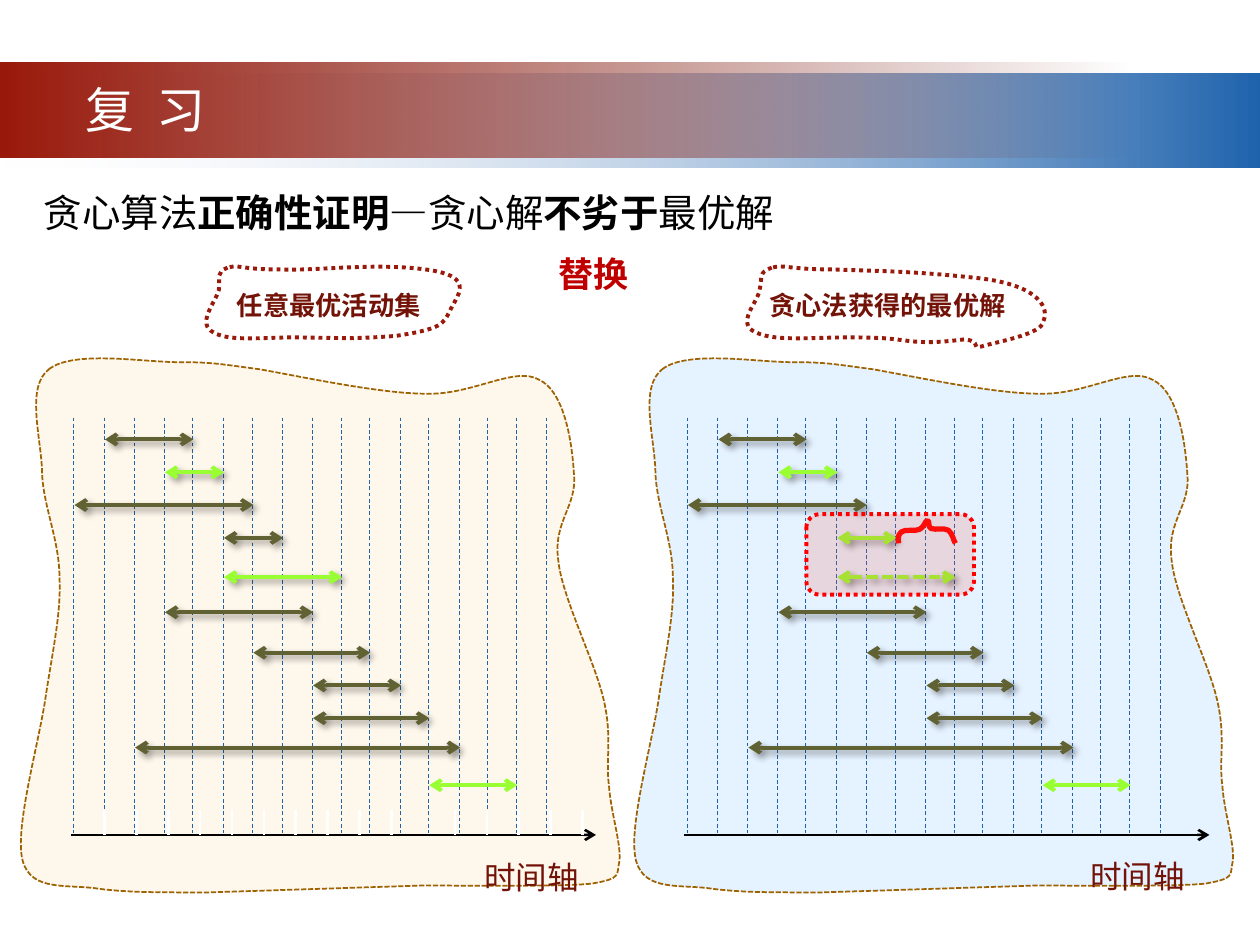
import pptx
import pptx.util
import pptx.dml.color
import pptx.enum.dml
import pptx.enum.shapes
import pptx.enum.text
import pptx.oxml
import pptx.oxml.ns
import lxml.etree

Pt = pptx.util.Pt
RGBColor = pptx.dml.color.RGBColor
Dash = pptx.enum.dml.MSO_LINE
Shape = pptx.enum.shapes.MSO_SHAPE
Anchor = pptx.enum.text.MSO_ANCHOR
Align = pptx.enum.text.PP_ALIGN
qn = pptx.oxml.ns.qn
NAMESPACE = pptx.oxml.ns.nsdecls("a")

WHITE = RGBColor(0xFF, 0xFF, 0xFF)
BLACK = RGBColor(0, 0, 0)
PALE = RGBColor(0xF1, 0xF2, 0xF7)
BLUE = RGBColor(0x1F, 0x63, 0xAD)
BRICK = RGBColor(0x99, 0x19, 0x0B)
MAROON = RGBColor(0x73, 0x13, 0x08)
DARK_RED = RGBColor(0x6D, 0x12, 0x08)
CRIMSON = RGBColor(0xC0, 0, 0)
RED = RGBColor(0xFF, 0, 0)
CORAL = RGBColor(0xF1, 0x4F, 0x3D)
CREAM = RGBColor(0xFE, 0xE8, 0xC4)
SKY = RGBColor(0xAD, 0xD6, 0xFF)
OCHRE = RGBColor(0x9E, 0x62, 0x01)
OLIVE = RGBColor(0x61, 0x62, 0x34)
GREEN = RGBColor(0x99, 0xFF, 0x33)

SHADOW = (
    f'<a:outerShdw {NAMESPACE} blurRad="50800" dist="38100" dir="2700000" algn="tl" rotWithShape="0">'
    '<a:srgbClr val="000000"><a:alpha val="40000"/></a:srgbClr></a:outerShdw>')

presentation = pptx.Presentation()
presentation.slide_width = Pt(720)
presentation.slide_height = Pt(540)
slide = presentation.slides.add_slide(presentation.slide_layouts[5])


def add_curve(box, points, color, width, dash=None, closed=True, shift=0):
    left, top, right, bottom = box
    builder = slide.shapes.build_freeform(Pt(left + shift), Pt(top))
    builder.add_line_segments([(Pt(right + shift), Pt(top)), (Pt(right + shift), Pt(bottom))], close=closed)
    curve = builder.convert_to_shape()
    outline = next(curve._element.iter(qn("a:path")))
    for segment in list(outline):
        outline.remove(segment)
    for index, (x, y) in enumerate(points):
        if index == 0:
            segment = lxml.etree.SubElement(outline, qn("a:moveTo"))
        elif index % 3 == 1:
            segment = lxml.etree.SubElement(outline, qn("a:cubicBezTo"))
        lxml.etree.SubElement(segment, qn("a:pt"), x=str(int(Pt(x - left))), y=str(int(Pt(y - top))))
    if closed:
        lxml.etree.SubElement(outline, qn("a:close"))
    curve.shadow.inherit = False
    curve.fill.background()
    curve.line.color.rgb = color
    curve.line.width = Pt(width)
    curve.line.dash_style = dash
    return curve


def add_line(group, x1, y1, x2, y2, color, width, dash=None, arrows=(), shadow=False):
    line = group.shapes.add_connector(
        pptx.enum.shapes.MSO_CONNECTOR.STRAIGHT, Pt(x1), Pt(y1), Pt(x2), Pt(y2))
    line.line.color.rgb = color
    line.line.width = Pt(width)
    line.line.dash_style = dash
    for end in arrows:
        line.line._get_or_add_ln().append(pptx.oxml.parse_xml(f'<{end} {NAMESPACE} type="arrow"/>'))
    effects = pptx.oxml.parse_xml(f"<a:effectLst {NAMESPACE}/>")
    if shadow:
        effects.append(pptx.oxml.parse_xml(SHADOW))
    line._element.spPr.append(effects)


translucent = []

for top, width, colors, clear_stop in ((42, 720, (PALE, BLUE), 0), (36, 648, (BRICK, DARK_RED), 1)):
    banner = slide.shapes.add_shape(Shape.RECTANGLE, 0, Pt(top), Pt(width), Pt(54))
    banner.shadow.inherit = False
    banner.line.fill.background()
    banner.fill.gradient()
    banner.fill.gradient_angle = 0
    for stop, color, position in zip(banner.fill.gradient_stops, colors, (0, 1)):
        stop.color.rgb = color
        stop.position = position
    translucent.append((banner, clear_stop, 0))

title = slide.shapes.title
slide.shapes._spTree.append(title._element)
title.left, title.top, title.width, title.height = Pt(41.8), Pt(41.8), Pt(87), Pt(41)
title.text_frame.text = "复 习"
title.text_frame.word_wrap = False
title.text_frame.auto_size = pptx.enum.text.MSO_AUTO_SIZE.SHAPE_TO_FIT_TEXT
title.text_frame.vertical_anchor = Anchor.TOP
paragraph = title.text_frame.paragraphs[0]
paragraph.alignment = Align.LEFT
paragraph.font.name = "Noto Sans CJK SC"
paragraph.font.size = Pt(28)
paragraph.font.color.rgb = WHITE
paragraph.runs[0].font._element.set("spc", "300")

optimal_outline = [
    (130, 153), (123, 156), (126, 158), (125, 166), (123, 173), (112, 185), (122, 190),
    (132, 196), (155, 192), (176, 193), (197, 193), (199, 194), (226, 192),
    (253, 188), (253, 185), (257, 178), (260, 170), (274, 158), (243, 154),
    (212, 150), (182, 155), (159, 154), (137, 154), (137, 151), (130, 153)]
greedy_outline = [
    (441, 153), (433, 156), (436, 158), (434, 166), (433, 173), (420, 185), (432, 190),
    (444, 196), (471, 192), (495, 193), (520, 193), (519, 198), (551, 194),
    (562, 195), (554, 200), (561, 198), (567, 196), (596, 191), (596, 184),
    (600, 177), (595, 163), (559, 159), (523, 155), (503, 155), (476, 154),
    (449, 154), (449, 151), (441, 153)]
add_curve((117.4, 152.4, 262.4, 193.5), optimal_outline, BRICK, 2.25, Dash.ROUND_DOT)
add_curve((426.4, 152.4, 597.2, 198.5), greedy_outline, BRICK, 2.25, Dash.ROUND_DOT)

cloud_outline = [
    (28, 211), (42, 200), (82, 207), (102, 207), (122, 207), (125, 208), (148, 211),
    (171, 215), (217, 225), (243, 225), (270, 226), (294, 209), (308, 217),
    (323, 224), (327, 254), (328, 271), (330, 289), (316, 298), (319, 320),
    (321, 341), (340, 378), (345, 400), (350, 421), (346, 434), (348, 449),
    (349, 464), (355, 482), (354, 492), (352, 500), (356, 502), (338, 505),
    (320, 507), (244, 506), (244, 506), (244, 506), (119, 510), (119, 510),
    (88, 510), (74, 510), (57, 508), (39, 505), (18, 510), (13, 492),
    (8, 474), (22, 426), (26, 399), (30, 372), (35, 351), (34, 330),
    (34, 308), (24, 288), (24, 268), (23, 248), (15, 221), (28, 211)]

guides = [42.2, 59.6, 76.8, 93.9, 110, 127.6, 144.4, 161.4, 178.5,
          195.1, 211.1, 228.8, 244.9, 262.6, 278.6, 295.2, 312.4]
activities = [
    (1, 4, 251.1), (3, 5, 269.9), (0, 6, 288.6), (5, 7, 307.4), (5, 9, 329.8), (3, 8, 349.9),
    (6, 10, 373), (8, 11, 391.7), (8, 12, 410.4), (2, 13, 427.2), (12, 15, 448.7)]
both_ends = ("a:headEnd", "a:tailEnd")
groups = []

for shift, cloud_color, chosen, replaced in ((0, CREAM, (1, 4, 10), None), (350.5, SKY, (1, 3, 4, 10), 4)):
    cloud = add_curve((12, 204.5, 354, 509.8), cloud_outline, OCHRE, 1, Dash.SQUARE_DOT, shift=shift)
    cloud.fill.solid()
    cloud.fill.fore_color.rgb = cloud_color
    translucent.append((cloud, 0, 31000))

    group = slide.shapes.add_group_shape()
    groups.append(group)
    for x in guides:
        add_line(group, x + shift, 238.7, x + shift, 476.3, BLUE, 0.5, Dash.DASH)
    for index, (start, finish, y) in enumerate(activities):
        add_line(group, guides[start] + shift + 0.4, y, guides[finish] + shift + 0.4, y,
                 GREEN if index in chosen else OLIVE, 2.25,
                 Dash.SQUARE_DOT if index == replaced else None, both_ends, index < 10)
    add_line(group, 40.5 + shift, 477.1, 340.6 + shift, 477.1, BLACK, 1.5, arrows=("a:tailEnd",))

for index in range(16):
    if index != 10:
        x = 59.8 + 18.2 * index
        add_line(groups[0], x, 463, x, 477.3, WHITE, 1.5)

brace = [
    (513.5, 310.5), (513.5, 309.5), (512.5, 306), (515, 304), (517.5, 302), (522.5, 304),
    (525.5, 302.5), (528.5, 301), (528.5, 297.5), (530, 297.5), (531.5, 297.5), (530, 301),
    (532, 302), (535, 303), (539.5, 301.5), (542, 303), (544.5, 305), (545, 309.5), (546, 310.5)]
add_curve((513.4, 297.4, 546, 310.7), brace, RED, 3, closed=False)

swap_region = slide.shapes.add_shape(Shape.ROUNDED_RECTANGLE, Pt(460.8), Pt(293.8), Pt(95.8), Pt(46))
swap_region.shadow.inherit = False
swap_region.fill.solid()
swap_region.fill.fore_color.rgb = CORAL
swap_region.line.color.rgb = RED
swap_region.line.width = Pt(2.25)
swap_region.line.dash_style = Dash.ROUND_DOT
translucent.append((swap_region, 0, 17000))

for shape, index, alpha in translucent:
    color = list(shape._element.spPr.iter(qn("a:srgbClr")))[index]
    color.append(pptx.oxml.parse_xml(f'<a:alpha {NAMESPACE} val="{alpha}"/>'))

labels = [
    (slide, "任意最优活动集", 118, 158.4, 139.7, 31.7, "Lato", 15, MAROON),
    (slide, "替换", 295.2, 142.2, 87.8, 28, "Roboto", 20, CRIMSON),
    (slide, "贪心法获得的最优解", 422.6, 158.4, 169.2, 31.7, "Lato", 15, MAROON),
    (groups[0], "时间轴", 256.3, 465.3, 95, 44.6, "Comic Neue", 18, MAROON),
    (groups[1], "时间轴", 602.6, 464.4, 95, 44.6, "Comic Neue", 18, MAROON)]
for container, text, left, top, width, height, font, size, color in labels:
    box = Pt(left), Pt(top), Pt(width), Pt(height)
    if font == "Lato":
        label = container.shapes.add_shape(Shape.ROUNDED_RECTANGLE, *box)
        label.shadow.inherit = False
        label.fill.background()
        label.line.fill.background()
    else:
        label = container.shapes.add_textbox(*box)
    label.text_frame.word_wrap = True
    label.text_frame.vertical_anchor = Anchor.MIDDLE if container is slide else Anchor.TOP
    label.text_frame.text = text
    paragraph = label.text_frame.paragraphs[0]
    paragraph.alignment = Align.CENTER
    if container is not slide:
        paragraph.line_spacing = 2.0
    paragraph.font.name = font
    paragraph.font.size = Pt(size)
    paragraph.font.bold = container is slide
    paragraph.font.color.rgb = color

statement = slide.shapes.add_textbox(Pt(18), Pt(104.4), Pt(468), Pt(34))
statement.text_frame.word_wrap = True
paragraph = statement.text_frame.paragraphs[0]
paragraph.font.name = "Noto Sans CJK SC"
paragraph.font.size = Pt(22)
paragraph.font.color.rgb = BLACK
for index, text in enumerate(("贪心算法", "正确性证明", "—贪心解", "不劣于", "最优解")):
    run = paragraph.add_run()
    run.text = text
    run.font.bold = index % 2 == 1

presentation.save("out.pptx")
